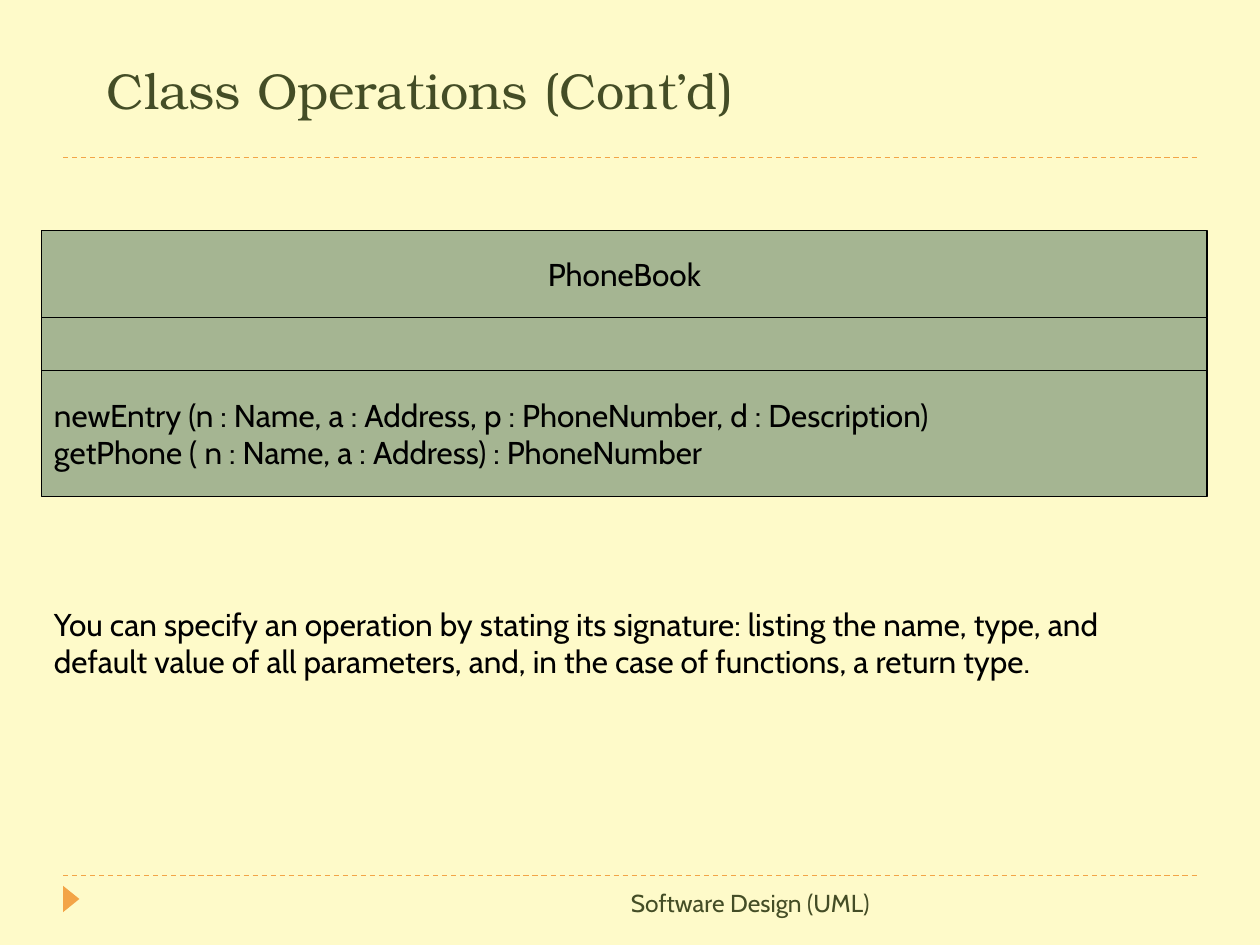
import pptx
import pptx.util
import pptx.dml.color
import pptx.enum.dml
import pptx.enum.shapes
import pptx.enum.text
import pptx.oxml.ns
import lxml.etree

PX = 9144  # EMU per px, 100 px to the inch
COLORS = {
    "background": "FEFAC9",
    "accent": "F3A447",
    "heading": "444D26",
    "box": "A5B592",
    "ink": "000000",
}
ALIGN = pptx.enum.text.PP_ALIGN
ANCHOR = pptx.enum.text.MSO_ANCHOR
SHAPES = pptx.enum.shapes.MSO_SHAPE


def color(name):
    return pptx.dml.color.RGBColor.from_string(COLORS[name])


def write(shape, lines, size=18, font="Cabin", ink="ink", align=ALIGN.LEFT,
          anchor=ANCHOR.TOP, wrap=True):
    frame = shape.text_frame
    frame.word_wrap = wrap
    frame.vertical_anchor = anchor
    for index, line in enumerate(lines):
        paragraph = frame.add_paragraph() if index else frame.paragraphs[0]
        paragraph.alignment = align
        run = paragraph.add_run()
        run.text = line
        run.font.size = pptx.util.Pt(size)
        run.font.name = font
        run.font.color.rgb = color(ink)


presentation = pptx.Presentation()
presentation.slide_width = 1000 * PX
presentation.slide_height = 750 * PX
slide = presentation.slides.add_slide(presentation.slide_layouts[6])
slide.background.fill.solid()
slide.background.fill.fore_color.rgb = color("background")

# Dashed rules above the footer and below the title
for y in (695, 125):
    rule = slide.shapes.add_connector(
        pptx.enum.shapes.MSO_CONNECTOR.STRAIGHT, 50 * PX, y * PX, 950 * PX, y * PX)
    rule.line.color.rgb = color("accent")
    rule.line.width = pptx.util.Pt(0.75)
    rule.line.dash_style = pptx.enum.dml.MSO_LINE.DASH
    lxml.etree.SubElement(rule._element.spPr, pptx.oxml.ns.qn("a:effectLst"))

# Footer marker and text
marker = slide.shapes.add_shape(
    SHAPES.ISOSCELES_TRIANGLE, 46 * PX, 707 * PX, 21 * PX, 13 * PX)
marker.rotation = 90
marker.shadow.inherit = False
marker.fill.solid()
marker.fill.fore_color.rgb = color("accent")
marker.line.fill.background()

footer = slide.shapes.add_textbox(258 * PX, 700 * PX, 442 * PX, 50 * PX)
write(footer, ["Software Design (UML)"], size=14, ink="heading", align=ALIGN.RIGHT)

# Title
title = slide.shapes.add_textbox(75 * PX, 42 * PX, 858 * PX, 58 * PX)
write(title, ["Class Operations (Cont’d)"], size=28.8, font="TeX Gyre Bonum",
      ink="heading", anchor=ANCHOR.BOTTOM)

# Class box: name, attributes, operations
compartments = [
    (183, 69, ["PhoneBook"], ALIGN.CENTER),
    (252, 52, [], ALIGN.LEFT),
    (294, 100, ["newEntry (n : Name, a : Address, p : PhoneNumber, d : Description)",
                "getPhone ( n : Name, a : Address) : PhoneNumber"], ALIGN.LEFT),
]
for top, height, lines, align in compartments:
    compartment = slide.shapes.add_shape(
        SHAPES.RECTANGLE, 33 * PX, top * PX, 925 * PX, height * PX)
    compartment.shadow.inherit = False
    compartment.fill.solid()
    compartment.fill.fore_color.rgb = color("box")
    compartment.line.color.rgb = color("ink")
    compartment.line.width = pptx.util.Pt(0.75)
    write(compartment, lines, align=align, anchor=ANCHOR.MIDDLE, wrap=False)

# Explanation
explanation = slide.shapes.add_textbox(33 * PX, 475 * PX, 917 * PX, 130 * PX)
write(explanation, [
    "You can specify an operation by stating its signature: listing the name, type, "
    "and default value of all parameters, and, in the case of functions, a return type."])

presentation.save("out.pptx")
